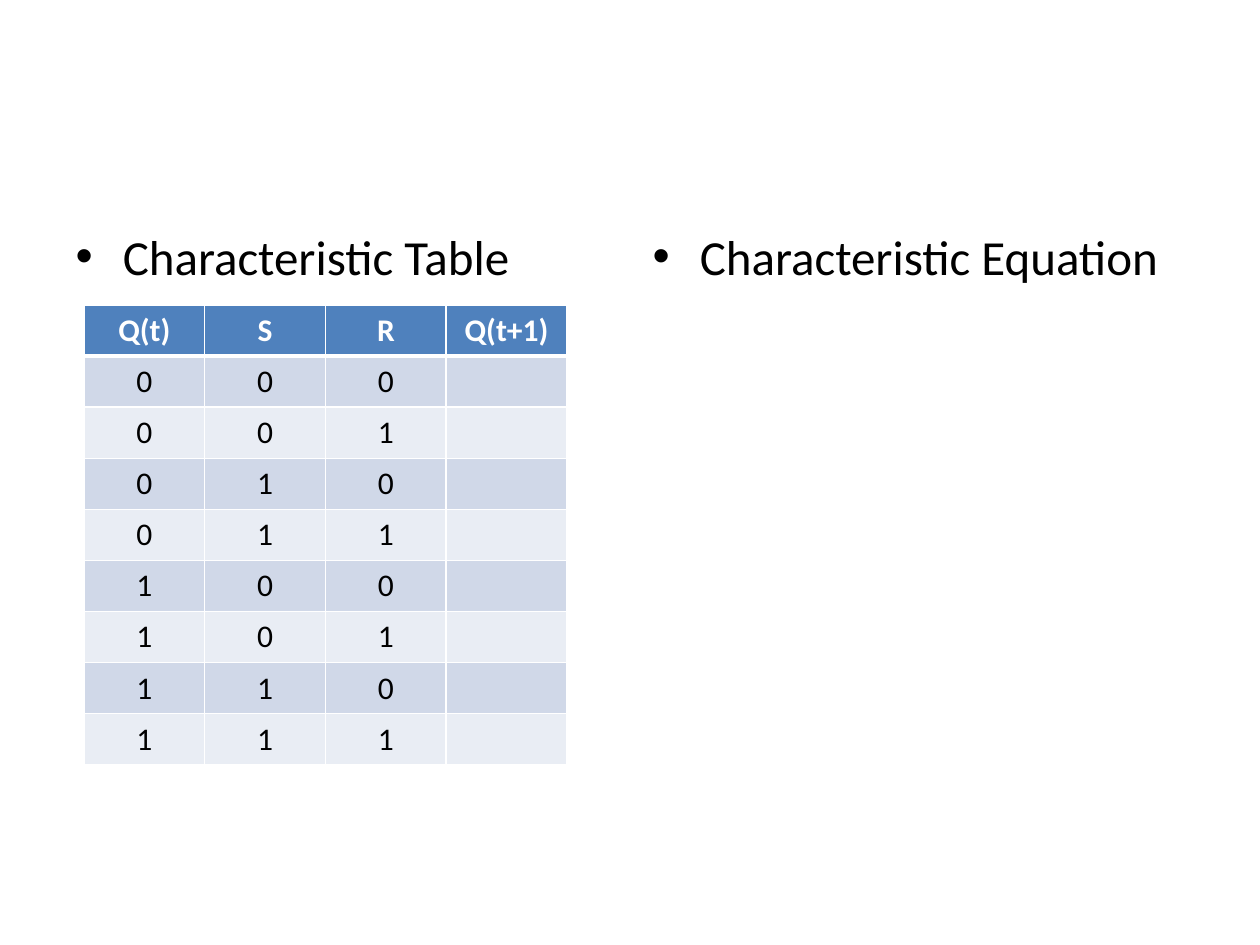
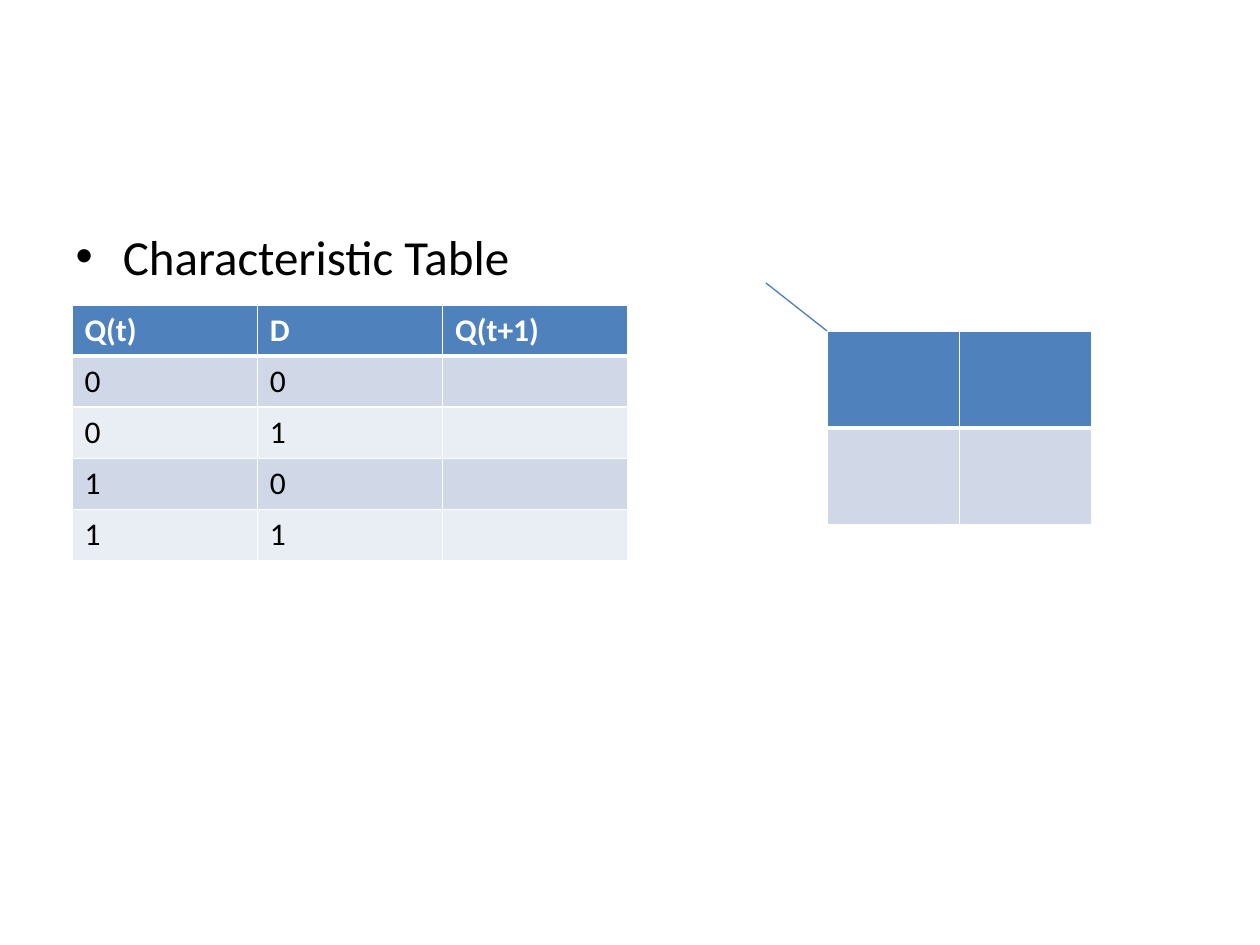
from dataclasses import dataclass
from itertools import product

from pptx import Presentation
from pptx.dml.color import RGBColor
from pptx.enum.shapes import MSO_CONNECTOR
from pptx.enum.text import MSO_ANCHOR, PP_ALIGN
from pptx.oxml.ns import qn
from pptx.presentation import Presentation as Deck
from pptx.slide import Slide
from pptx.table import _Cell
from pptx.text.text import TextFrame
from pptx.util import Pt
from lxml.etree import SubElement

PX = 914400 / 126
FONT = "Calibri"
BLACK = RGBColor(0x00, 0x00, 0x00)
WHITE = RGBColor(0xFF, 0xFF, 0xFF)
HEADER_BLUE = RGBColor(0x4F, 0x81, 0xBD)
BANDS = (RGBColor(0xD0, 0xD8, 0xE8), RGBColor(0xE9, 0xED, 0xF4))
LINE_BLUE = RGBColor(0x4B, 0x7E, 0xBC)

TWO_CONTENT_LAYOUT = 3
HEADING_LEFTS = (63, 640)
HEADING_TOP, HEADING_WIDTH, HEADING_HEIGHT = 220, 557, 624


@dataclass(frozen=True)
class Grid:
    left: int
    top: int
    width: int
    height: int
    rows: list[list[str]]
    centred: bool = False


def px(length: float) -> int:
    return round(length * PX)


def truth_rows(*inputs: str) -> list[list[str]]:
    """Header and every input combination, with the next state left open."""
    states = product("01", repeat=len(inputs))
    return [[*inputs, "Q(t+1)"]] + [[*state, ""] for state in states]


def write(frame: TextFrame, text: str, *, size: int, color: RGBColor = BLACK,
          bold: bool = False, align: PP_ALIGN = PP_ALIGN.LEFT) -> None:
    para = frame.paragraphs[0]
    para.alignment = align
    para.space_before = Pt(0)
    para.font.size = Pt(size)
    if text:
        span = para.add_run()
        span.text = text
        span.font.name = FONT
        span.font.size = Pt(size)
        span.font.bold = bold
        span.font.color.rgb = color


def add_page(deck: Deck, *headings: str) -> Slide:
    page = deck.slides.add_slide(deck.slide_layouts[TWO_CONTENT_LAYOUT])
    bodies = [box for box in page.placeholders
              if box.placeholder_format.idx in (1, 2)]
    for body, left, heading in zip(bodies, HEADING_LEFTS, headings):
        body.left, body.top = px(left), px(HEADING_TOP)
        body.width, body.height = px(HEADING_WIDTH), px(HEADING_HEIGHT)
        write(body.text_frame, heading, size=28)
    for box in list(page.placeholders):
        if not box.text_frame.text:
            box.element.getparent().remove(box.element)
    return page


def set_borders(cell: _Cell, top: int, bottom: int) -> None:
    """White cell borders, widths in points; the sides are 1 point."""
    properties = cell._tc.get_or_add_tcPr()
    for side, width in (("L", 1), ("R", 1), ("T", top), ("B", bottom)):
        line = SubElement(properties, qn(f"a:ln{side}"), w=str(Pt(width)))
        fill = SubElement(line, qn("a:solidFill"))
        SubElement(fill, qn("a:srgbClr"), val=str(WHITE))


def add_grid(page: Slide, grid: Grid) -> None:
    row_count, column_count = len(grid.rows), len(grid.rows[0])
    table = page.shapes.add_table(
        row_count, column_count, px(grid.left), px(grid.top),
        px(grid.width), px(grid.height)).table
    for column in table.columns:
        column.width = px(grid.width / column_count)
    for row in table.rows:
        row.height = px(grid.height / row_count)
    for row_index, texts in enumerate(grid.rows):
        header = row_index == 0
        for column_index, text in enumerate(texts):
            cell = table.cell(row_index, column_index)
            set_borders(cell, top=3 if row_index == 1 else 1,
                        bottom=3 if header else 1)
            cell.fill.solid()
            cell.fill.fore_color.rgb = (
                HEADER_BLUE if header else BANDS[(row_index - 1) % 2])
            if grid.centred:
                cell.vertical_anchor = MSO_ANCHOR.MIDDLE
            write(cell.text_frame, text, size=18, bold=header,
                  color=WHITE if header else BLACK,
                  align=PP_ALIGN.CENTER if grid.centred else PP_ALIGN.LEFT)


def add_line(page: Slide, start: tuple[int, int], end: tuple[int, int]) -> None:
    line = page.shapes.add_connector(
        MSO_CONNECTOR.STRAIGHT, *map(px, start), *map(px, end))
    line.line.color.rgb = LINE_BLUE
    line.line.width = Pt(0.75)
    SubElement(line.element.spPr, qn("a:effectLst"))


def main() -> None:
    deck = Presentation()
    deck.slide_width, deck.slide_height = px(1260), px(945)

    sr_page = add_page(deck, "Characteristic Table", "Characteristic Equation")
    add_grid(sr_page, Grid(84, 305, 483, 460, truth_rows("Q(t)", "S", "R"),
                           centred=True))

    d_page = add_page(deck, "Characteristic Table")
    add_grid(d_page, Grid(72, 305, 556, 255, truth_rows("Q(t)", "D")))
    karnaugh_map = Grid(827, 331, 265, 194, [["", ""], ["", ""]])
    add_grid(d_page, karnaugh_map)
    add_line(d_page, (766, 283), (karnaugh_map.left, karnaugh_map.top))

    deck.save("out.pptx")


if __name__ == "__main__":
    main()
